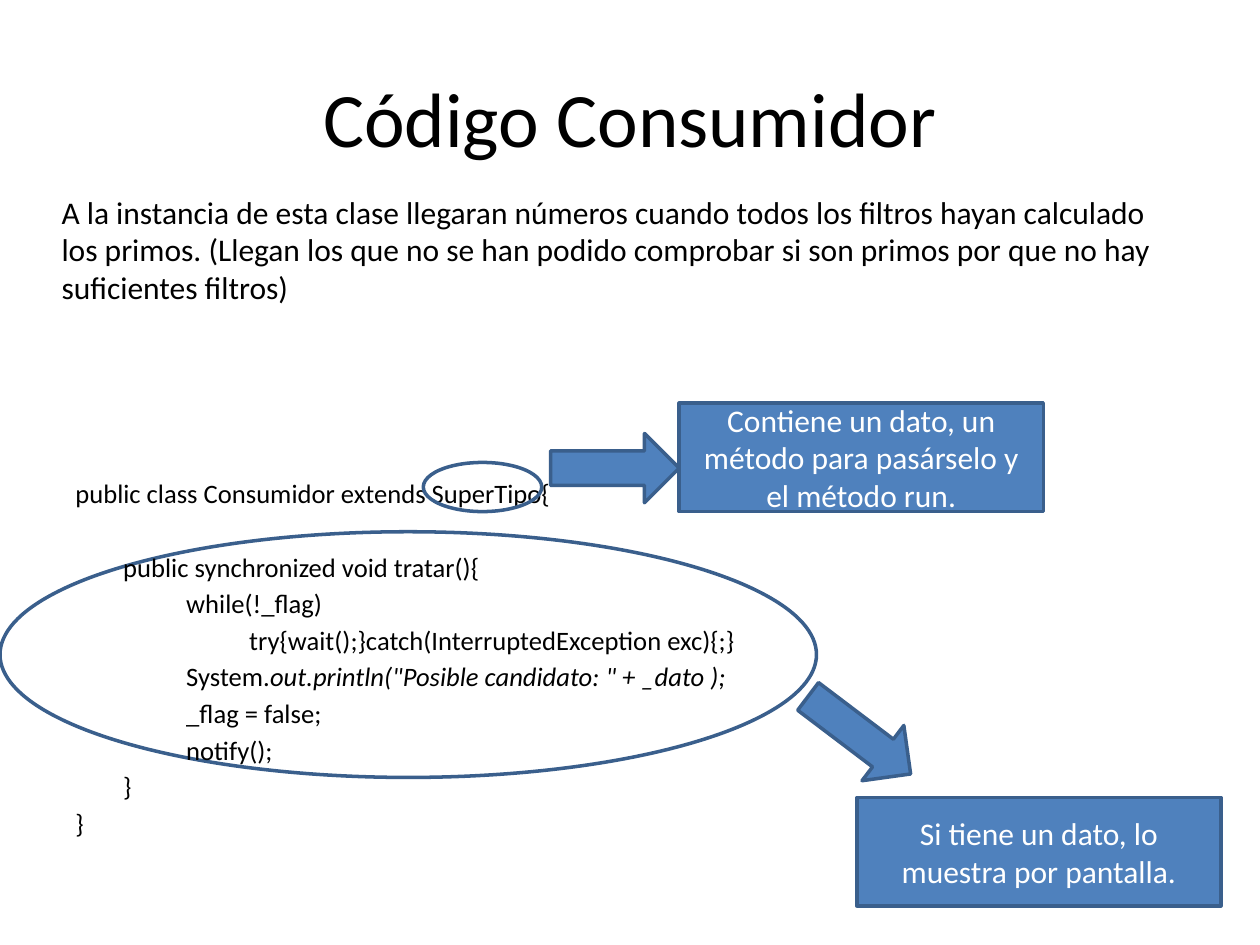
from dataclasses import dataclass

from pptx import Presentation
from pptx.dml.color import RGBColor
from pptx.enum.shapes import MSO_SHAPE
from pptx.enum.text import MSO_ANCHOR, PP_ALIGN
from pptx.util import Inches, Pt

ELLIPSE = MSO_SHAPE.OVAL
RECTANGLE = MSO_SHAPE.RECTANGLE
ARROW = MSO_SHAPE.RIGHT_ARROW
TOP, MIDDLE = MSO_ANCHOR.TOP, MSO_ANCHOR.MIDDLE
LEFT, CENTER = PP_ALIGN.LEFT, PP_ALIGN.CENTER


@dataclass(frozen=True)
class Theme:
    font: str = "Calibri"
    ink: str = "000000"
    light: str = "FFFFFF"
    fill: str = "4F81BD"
    outline: str = "3A5F8C"
    title_size: float = 44
    text_size: float = 18
    code_size: float = 15.2
    code_gap: float = 2.7
    code_pitch: float = 21.2
    outline_width: float = 2


class SlideBuilder:
    columns, rows = 100, 75

    def __init__(self, deck, theme):
        self.theme = theme
        self.column = deck.slide_width / self.columns
        self.row = deck.slide_height / self.rows
        self.page = deck.slides.add_slide(deck.slide_layouts[6])

    def place(self, left, top, width, height):
        return (round(left * self.column), round(top * self.row),
                round(width * self.column), round(height * self.row))

    def style(self, para, size, color, align):
        para.alignment = align
        for span in para.runs:
            span.font.name = self.theme.font
            span.font.size = Pt(size)
            span.font.color.rgb = RGBColor.from_string(color)

    def label(self, box, text, size, color, align, anchor):
        frame = box.text_frame
        frame.word_wrap = True
        frame.vertical_anchor = anchor
        frame.text = text
        self.style(frame.paragraphs[0], size, color, align)

    def text(self, area, text, size, align=LEFT, anchor=TOP):
        box = self.page.shapes.add_textbox(*self.place(*area))
        self.label(box, text, size, self.theme.ink, align, anchor)

    def shape(self, kind, area, filled=True, rotation=0):
        box = self.page.shapes.add_shape(kind, *self.place(*area))
        box.shadow.inherit = False
        box.rotation = rotation
        if filled:
            box.fill.solid()
            box.fill.fore_color.rgb = RGBColor.from_string(self.theme.fill)
        else:
            box.fill.background()
        box.line.color.rgb = RGBColor.from_string(self.theme.outline)
        box.line.width = Pt(self.theme.outline_width)
        return box

    def callout(self, left, top, text):
        box = self.shape(RECTANGLE, (left, top, 28.9, 8.6))
        self.label(box, text, self.theme.text_size, self.theme.light, CENTER, MIDDLE)

    def code(self, area, lines):
        theme = self.theme
        frame = self.page.shapes.add_textbox(*self.place(*area)).text_frame
        frame.word_wrap = True
        frame.margin_top = Inches(0.05) + Pt(theme.code_pitch)
        for number, (depth, plain, italic) in enumerate(lines):
            para = frame.add_paragraph() if number else frame.paragraphs[0]
            para.text = "\t" * depth + plain
            if italic:
                span = para.add_run()
                span.text = italic
                span.font.italic = True
            self.style(para, theme.code_size, theme.ink, LEFT)
            gaps = {0: 0, 1: theme.code_gap + theme.code_pitch}
            para.space_before = Pt(gaps.get(number, theme.code_gap))
            indent = para._p.get_or_add_pPr()
            indent.set("marL", str(Inches(0.38)))
            indent.set("indent", str(-Inches(0.38)))


CODE = [
    (0, "public class Consumidor extends SuperTipo{", ""),
    (1, "public synchronized void tratar(){", ""),
    (2, "while(!_flag)", ""),
    (3, "try{wait();}catch(InterruptedException exc){;}", ""),
    (2, "System.", 'out.println("Posible candidato: " + _dato );'),
    (2, "_flag = false;", ""),
    (2, "notify();", ""),
    (1, "}", ""),
    (0, "}", ""),
]

INTRO = (
    "A la instancia de esta clase llegaran números cuando todos los filtros "
    "hayan calculado los primos. (Llegan los que no se han podido comprobar "
    "si son primos por que no hay suficientes filtros)"
)

deck = Presentation()
deck.slide_width, deck.slide_height = Inches(10), Inches(7.5)
theme = Theme()
slide = SlideBuilder(deck, theme)

slide.shape(ELLIPSE, (0, 42.2, 64.8, 19.5), filled=False)
slide.text((5, 3, 90, 12.5), "Código Consumidor", theme.title_size, CENTER, MIDDLE)
slide.code((5, 34.4, 90, 32.6), CODE)
slide.text((3.9, 14.8, 91.4, 10.1), INTRO, theme.text_size)
slide.shape(ELLIPSE, (33.6, 36.7, 9.4, 3.9), filled=False)
slide.callout(53.9, 32, "Contiene un dato, un método para pasárselo y el método run.")
slide.shape(ARROW, (43.7, 34.4, 10.2, 5.5))
slide.callout(68, 63.3, "Si tiene un dato, lo muestra por pantalla.")
slide.shape(ARROW, (63.1, 55.6, 10.2, 5.5), rotation=37.1)

deck.save("out.pptx")
